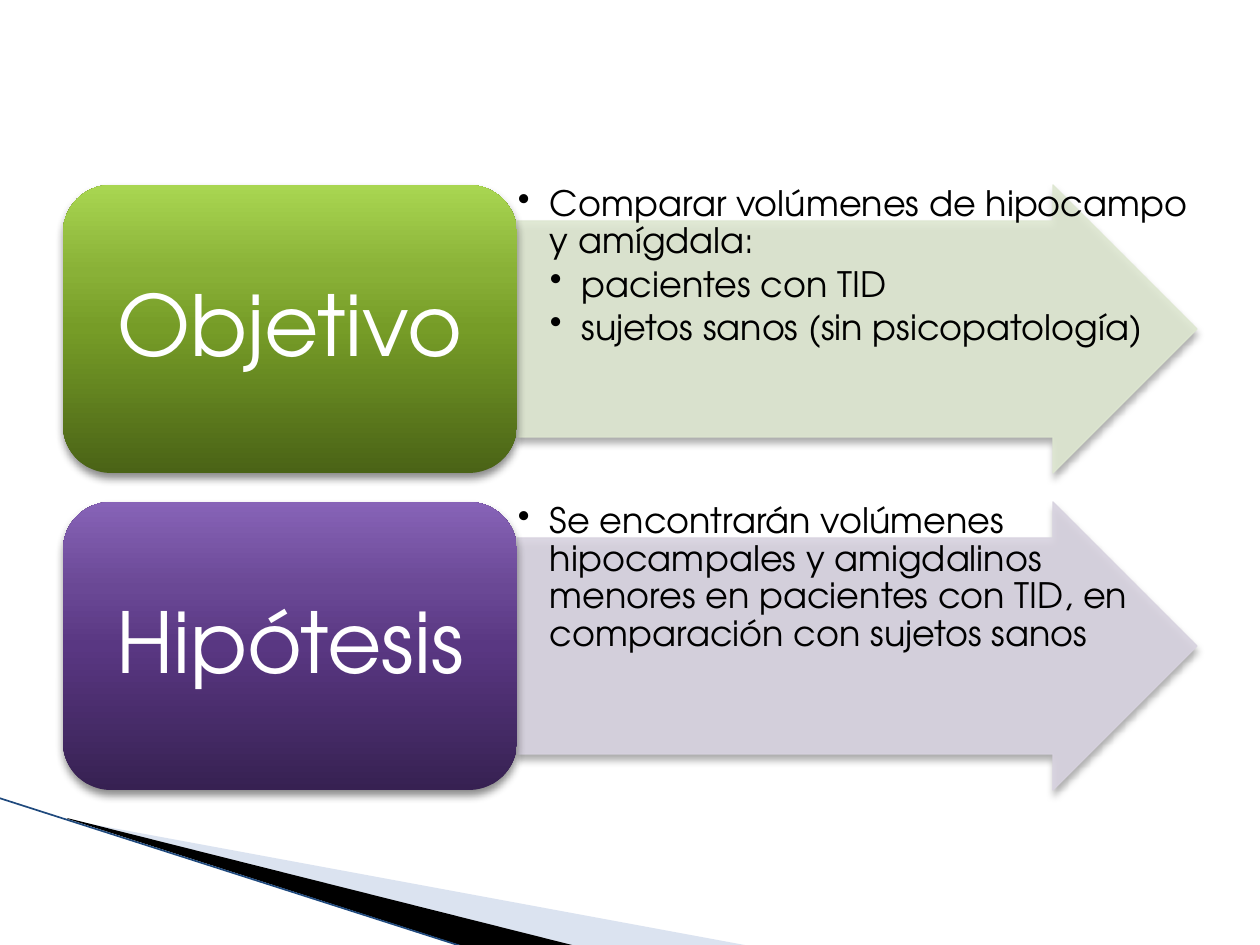
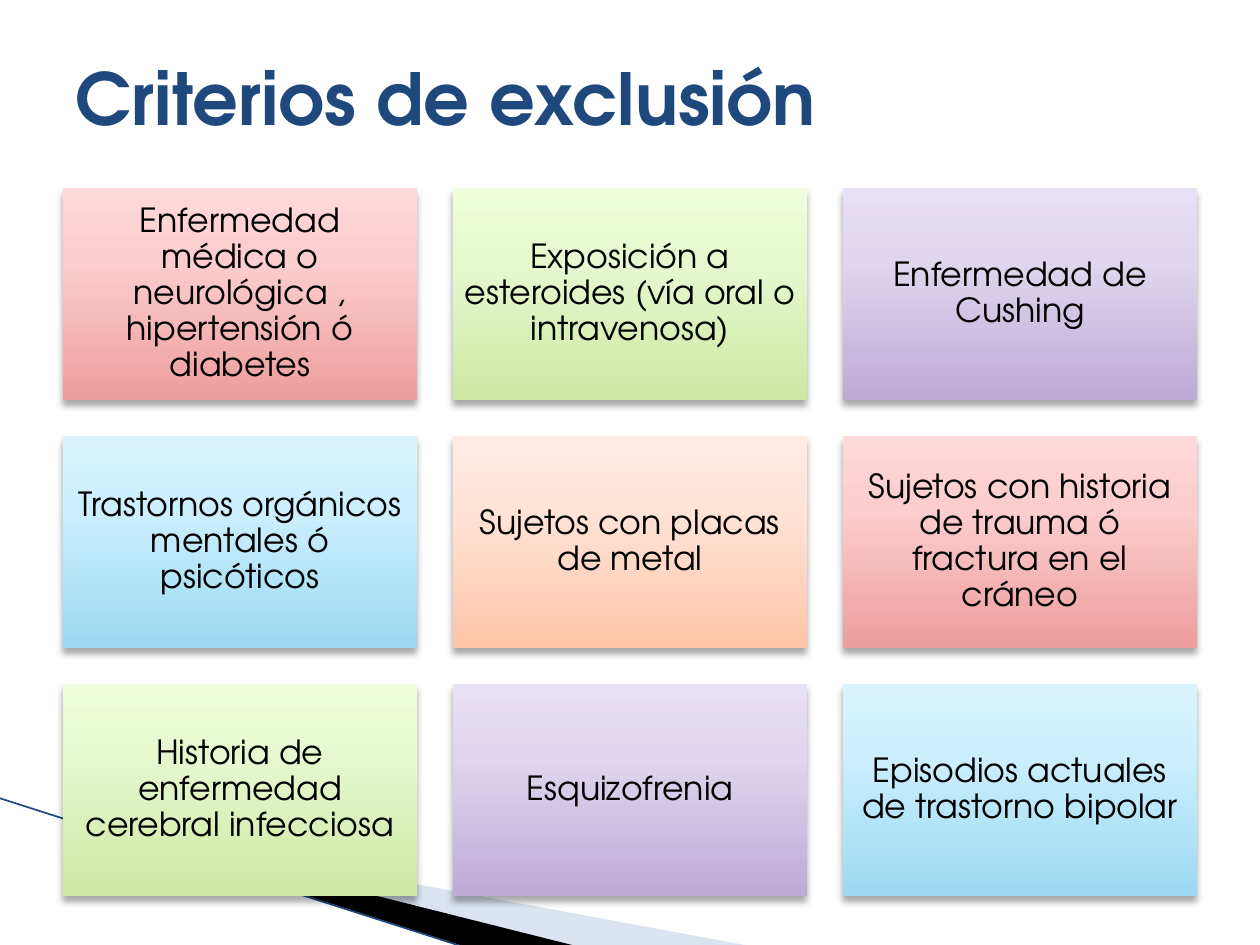
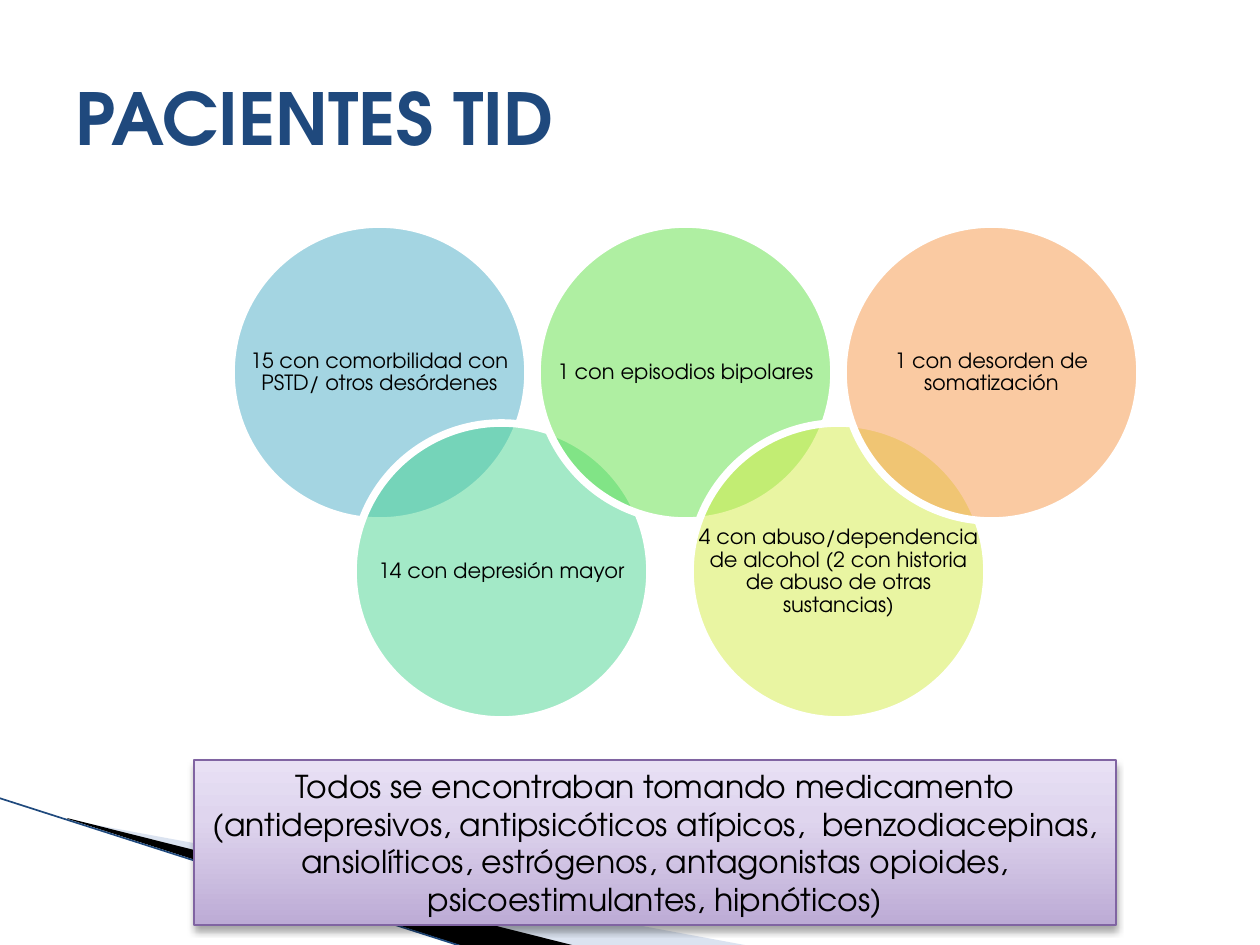
from dataclasses import dataclass

from lxml.etree import SubElement
from pptx import Presentation
from pptx.dml.color import RGBColor
from pptx.enum.shapes import MSO_CONNECTOR as Connector, MSO_SHAPE as Preset
from pptx.enum.text import MSO_ANCHOR as Anchor, PP_ALIGN as Align
from pptx.oxml.ns import qn
from pptx.util import Pt

SCALE = 914400 / 126
PAGE_WIDTH, PAGE_HEIGHT = 1260, 945


@dataclass(frozen=True)
class Theme:
    font: str = "TeX Gyre Adventor"
    title: str = "1F497D"
    text: str = "000000"
    light: str = "FFFFFF"
    pale_band: str = "A7B9DB"
    dark_band: str = "000000"
    band_line: str = "1F497D"
    note_line: str = "8064A2"
    title_size: int = 41
    heading_size: int = 48
    bullet_size: int = 20
    tile_size: int = 19
    note_size: int = 18
    circle_size: int = 12
    soft_shadow: tuple = (35, 4, 3)
    deep_shadow: tuple = (45, 5, 3)
    green_block: tuple = ((0, "4A6316"), (50, "769C27"), (70, "89B137"), (100, "A9D651"))
    purple_block: tuple = ((0, "372152"), (50, "593782"), (70, "6A4895"), (100, "8763B7"))
    red: tuple = ((0, "EC9E9D"), (65, "FBCDCC"), (100, "FFD9D9"))
    green: tuple = ((0, "CCE8A2"), (65, "E7F8CF"), (100, "EFFDDB"))
    purple: tuple = ((0, "BCABD5"), (65, "DFD5EE"), (100, "E8E0F4"))
    blue: tuple = ((0, "9BD9F1"), (65, "CBEFFE"), (100, "DAF4FF"))
    orange: tuple = ((0, "FFC5A8"), (65, "FFE3D7"), (100, "FFEBE3"))


THEME = Theme()


def px(length):
    return round(length * SCALE)


def place(box):
    return [px(length) for length in box]


def assign(target, values):
    for name, value in values.items():
        setattr(target, name, value)


def paint(fill, colour, alpha=100):
    fill.solid()
    fill.fore_color.rgb = RGBColor.from_string(colour)
    if alpha < 100:
        node = fill._xPr.find(".//" + qn("a:srgbClr"))
        SubElement(node, qn("a:alpha"), val=str(alpha * 1000))


def paint_gradient(fill, stops):
    """Run the stops, given as (percent, colour), from bottom to top."""
    fill.gradient()
    fill.gradient_angle = 90
    stop_list = fill._xPr.find(".//" + qn("a:gsLst"))
    for old in list(stop_list):
        stop_list.remove(old)
    for percent, colour in stops:
        stop = SubElement(stop_list, qn("a:gs"), pos=str(percent * 1000))
        SubElement(stop, qn("a:srgbClr"), val=colour)


def drop_shadow(shape, alpha, blur, distance):
    effects = shape._element.spPr.find(qn("a:effectLst"))
    shadow = SubElement(effects, qn("a:outerShdw"), blurRad=str(Pt(blur)),
                        dist=str(Pt(distance)), dir="5400000", rotWithShape="0")
    colour = SubElement(shadow, qn("a:srgbClr"), val="000000")
    SubElement(colour, qn("a:alpha"), val=str(alpha * 1000))


def add_figure(page, preset, box, fill, alpha=100, line=None, line_width=0.75,
               line_alpha=100, shadow=None):
    """Add a preset shape; fill is a colour or a tuple of gradient stops."""
    shape = page.shapes.add_shape(preset, *place(box))
    shape.shadow.inherit = False
    if isinstance(fill, tuple):
        paint_gradient(shape.fill, fill)
    else:
        paint(shape.fill, fill, alpha)
    if line:
        paint(shape.line.fill, line, line_alpha)
        shape.line.width = Pt(line_width)
    else:
        shape.line.fill.background()
    if shadow:
        drop_shadow(shape, *shadow)
    return shape


def set_frame(frame, anchor, inset_x, inset_y):
    assign(frame, {"word_wrap": True, "vertical_anchor": anchor,
                   "margin_left": px(inset_x), "margin_right": px(inset_x),
                   "margin_top": px(inset_y), "margin_bottom": px(inset_y)})


def write(para, text, size, colour=THEME.text, bold=False, **layout):
    assign(para, layout)
    span = para.add_run()
    span.text = text
    assign(span.font, {"name": THEME.font, "size": Pt(size), "bold": bold})
    span.font.color.rgb = RGBColor.from_string(colour)


def write_centred(shape, text, size, inset_x, inset_y, colour=THEME.text, spacing=0.9):
    set_frame(shape.text_frame, Anchor.MIDDLE, inset_x, inset_y)
    write(shape.text_frame.paragraphs[0], text, size, colour,
          alignment=Align.CENTER, line_spacing=spacing)


def write_bullets(frame, bullets):
    """Write (level, text) pairs as a bulleted list."""
    for index, (level, text) in enumerate(bullets):
        para = frame.add_paragraph() if index else frame.paragraphs[0]
        write(para, text, THEME.bullet_size, level=level, alignment=Align.LEFT,
              line_spacing=0.9, space_after=Pt(3))
        props = para._p.get_or_add_pPr()
        props.set("marL", str(px(32 * (level + 1))))
        props.set("indent", str(px(-32)))
        SubElement(props, qn("a:buChar"), char="•")


def add_band(page, points, colour, alpha=100):
    builder = page.shapes.build_freeform(*points[0], scale=SCALE)
    builder.add_line_segments(points[1:], close=True)
    band = builder.convert_to_shape()
    band.shadow.inherit = False
    paint(band.fill, colour, alpha)
    band.line.fill.background()


def add_corner(page):
    add_band(page, [(69, 820), (750, 946), (575, 946), (69, 819)], THEME.pale_band, 40)
    add_band(page, [(67, 818), (576, 946), (469, 948), (68, 819)], THEME.dark_band)
    edge = page.shapes.add_connector(Connector.STRAIGHT, *place((-1, 798, 467, 948)))
    edge.line.width = Pt(0.95)
    paint(edge.line.fill, THEME.band_line)
    SubElement(edge._element.spPr, qn("a:effectLst"))


def add_page(deck):
    page = deck.slides.add_slide(deck.slide_layouts[6])
    add_corner(page)
    return page


def add_title(page, text, height):
    title = page.shapes.add_textbox(*place((63, 38, 1134, height)))
    set_frame(title.text_frame, Anchor.MIDDLE, 13, 6)
    write(title.text_frame.paragraphs[0], text, THEME.title_size, THEME.title, bold=True)


def add_arrow_row(page, box, heading, stops, tint, bullets):
    """Place a heading block and, to its right, an arrow with bullets."""
    left, top, width, height = box
    block_width = 454
    arrow_box = (left + block_width, top, width - block_width, height)
    arrow = add_figure(page, Preset.RIGHT_ARROW, arrow_box, tint, 90, line=tint,
                       line_alpha=90, shadow=THEME.soft_shadow)
    arrow.adjustments[0], arrow.adjustments[1] = 0.75, 0.5
    detail = page.shapes.add_textbox(*place(arrow_box))
    set_frame(detail.text_frame, Anchor.TOP, 1, 1)
    write_bullets(detail.text_frame, bullets)
    block = add_figure(page, Preset.ROUNDED_RECTANGLE, (left, top, block_width, height),
                       stops, shadow=THEME.deep_shadow)
    write_centred(block, heading, THEME.heading_size, 12, 12, THEME.light)


def add_tile_grid(page, box, tiles, columns=3, gap=36):
    left, top, width, height = box
    rows = len(tiles) // columns
    tile_width = (width - gap * (columns - 1)) // columns
    tile_height = (height - gap * (rows - 1)) // rows
    for index, (text, stops) in enumerate(tiles):
        row, column = divmod(index, columns)
        tile_box = (left + column * (tile_width + gap), top + row * (tile_height + gap),
                    tile_width, tile_height)
        tile = add_figure(page, Preset.RECTANGLE, tile_box, stops, shadow=THEME.soft_shadow)
        write_centred(tile, text, THEME.tile_size, 10, 10)


def add_circle_chain(page, box, circles):
    """Overlap circles, each given its left offset, high and low by turns."""
    left, top, _, height = box
    size = 297
    for index, (offset, colour, text) in enumerate(circles):
        circle_top = top + (height - size if index % 2 else 0)
        circle_box = (left + offset, circle_top, size, size)
        add_figure(page, Preset.OVAL, circle_box, colour, 50, line=THEME.light,
                   line_width=4.33)
        label = page.shapes.add_textbox(*place(circle_box))
        write_centred(label, text, THEME.circle_size, 6, 6)


def add_note(page, box, text):
    note = add_figure(page, Preset.RECTANGLE, box, THEME.purple, line=THEME.note_line,
                      shadow=THEME.soft_shadow)
    write_centred(note, text, THEME.note_size, 13, 6, spacing=1.0)


def build_aims(deck):
    page = add_page(deck)
    rows = [
        ("Objetivo", THEME.green_block, "DEE7D1", [
            (0, "Comparar volúmenes de hipocampo y amígdala:"),
            (1, "pacientes con TID"),
            (1, "sujetos sanos (sin psicopatología)")]),
        ("Hipótesis", THEME.purple_block, "D8D3E0", [
            (0, "Se encontrarán volúmenes hipocampales y amigdalinos menores en "
                "pacientes con TID, en comparación con sujetos sanos")]),
    ]
    for index, row in enumerate(rows):
        add_arrow_row(page, (63, 185 + 317 * index, 1134, 288), *row)


def build_exclusions(deck):
    page = add_page(deck)
    add_tile_grid(page, (63, 188, 1134, 708), [
        ("Enfermedad médica o neurológica , hipertensión ó diabetes", THEME.red),
        ("Exposición a esteroides (vía oral o intravenosa)", THEME.green),
        ("Enfermedad de Cushing", THEME.purple),
        ("Trastornos orgánicos mentales ó psicóticos", THEME.blue),
        ("Sujetos con placas de metal", THEME.orange),
        ("Sujetos con historia de trauma ó fractura en el cráneo", THEME.red),
        ("Historia de enfermedad cerebral infecciosa", THEME.green),
        ("Esquizofrenia", THEME.purple),
        ("Episodios actuales de trastorno bipolar", THEME.blue),
    ])
    add_title(page, "Criterios de exclusión", 117)


def build_patients(deck):
    page = add_page(deck)
    add_circle_chain(page, (231, 224, 909, 496), [
        (0, "4BACC6", "15 con comorbilidad con PSTD/ otros desórdenes"),
        (122, "48D491", "14 con depresión mayor"),
        (306, "60E146", "1 con episodios bipolares"),
        (459, "D5EC46", "4 con abuso/dependencia de alcohol "
                        "(2 con historia de abuso de otras sustancias)"),
        (612, "F79646", "1 con desorden de somatización"),
    ])
    add_title(page, "PACIENTES TID", 158)
    add_note(page, (194, 760, 922, 165),
             "Todos se encontraban tomando medicamento (antidepresivos, antipsicóticos "
             "atípicos,  benzodiacepinas, ansiolíticos, estrógenos, antagonistas "
             "opioides, psicoestimulantes, hipnóticos)")


def main():
    deck = Presentation()
    assign(deck, {"slide_width": px(PAGE_WIDTH), "slide_height": px(PAGE_HEIGHT)})
    for build in (build_aims, build_exclusions, build_patients):
        build(deck)
    deck.save("out.pptx")


if __name__ == "__main__":
    main()
